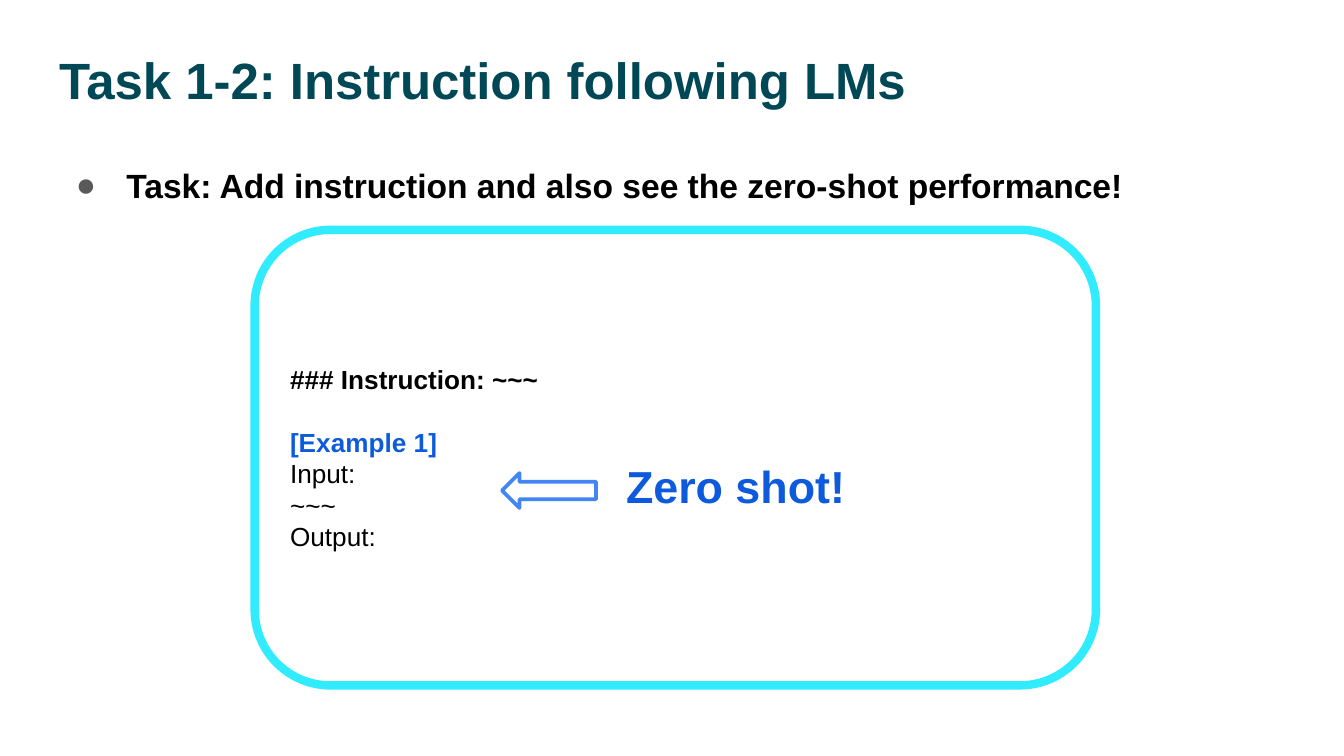
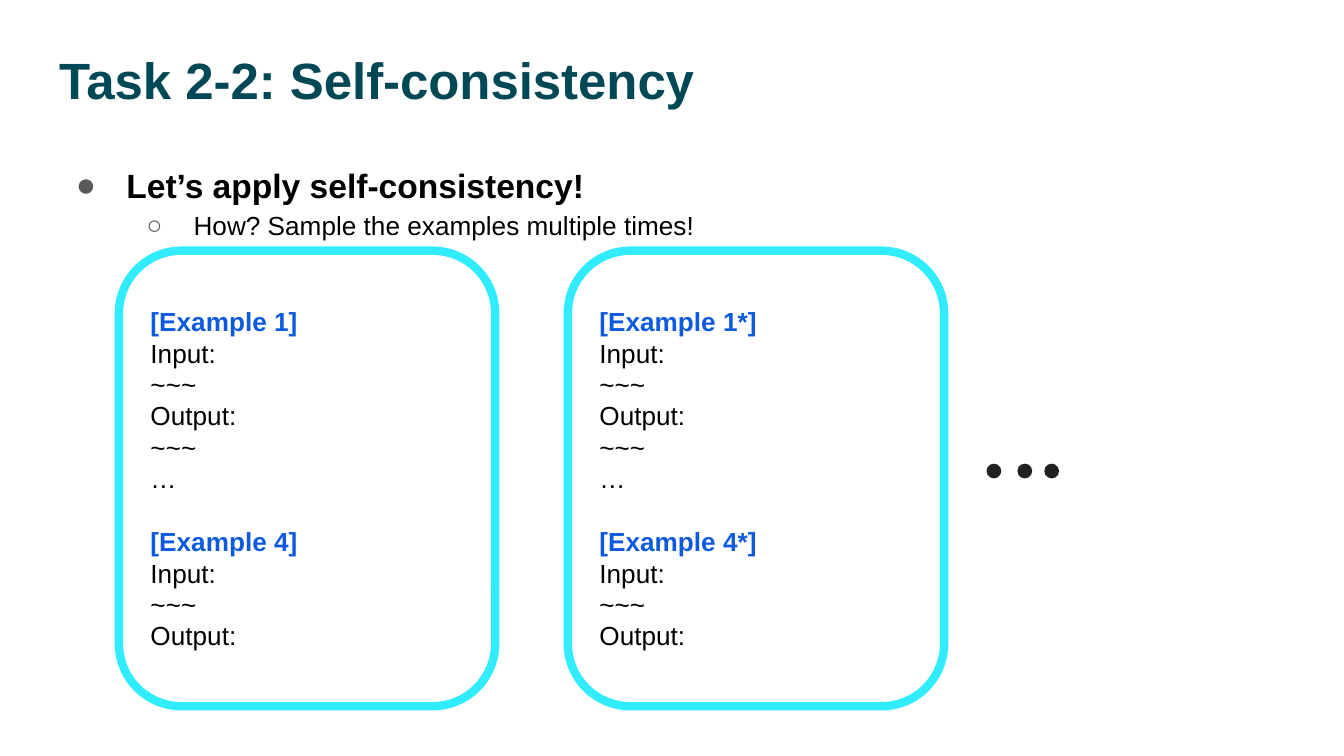
"""Build two slides on instruction following and self-consistency prompts."""
from lxml import etree
from pptx import Presentation
from pptx import util as u
from pptx.dml.color import RGBColor
from pptx.enum import shapes, text
from pptx.oxml.ns import qn

PX = 4572
FONT = "Arial"
TEAL = RGBColor(0x00, 0x48, 0x56)
CYAN = RGBColor(0x31, 0xEB, 0xFF)
BLUE = RGBColor(0x0D, 0x5B, 0xDC)
ARROW_BLUE = RGBColor(0x42, 0x85, 0xF4)
BLACK = RGBColor(0, 0, 0)
DARK = RGBColor(0x21, 0x21, 0x21)
GREY = RGBColor(0x59, 0x59, 0x59)
WHITE = RGBColor(0xFF, 0xFF, 0xFF)

SLIDE_SIZE = (2000, 1125)
TITLE_BOX = (68, 63, 1864, 126)
BODY_BOX = (68, 216, 1864, 748)
INSET = 20
LEVELS = [("●", 100, -75, 18, True), ("○", 200, -70, 14, False)]
BLOCK_GAP = 17

INSTRUCTION = {
    "title": "Task 1-2: Instruction following LMs",
    "bullets": ["Task: Add instruction and also see the zero-shot performance!"],
    "prompts": [[["### Instruction: ~~~"], ["[Example 1]", "Input:", "~~~", "Output:"]]],
    "boxes": [(379, 342, 1252, 678)],
}
CONSISTENCY = {
    "title": "Task 2-2: Self-consistency",
    "bullets": ["Let’s apply self-consistency!", "How? Sample the examples multiple times!"],
    "prompts": [
        [[f"[Example 1{mark}]", "Input:", "~~~", "Output:", "~~~", "…"],
         [f"[Example 4{mark}]", "Input:", "~~~", "Output:"]]
        for mark in ("", "*")
    ],
    "boxes": [(177 + 668 * i, 373, 560, 678) for i in range(2)],
}
ARROW_BOX = (747, 704, 140, 52)
LABEL_BOX = (912, 673, 400, 100)
DOT_LEFTS = (1468, 1514, 1554)
DOT_TOP, DOT_SIZE = 690, 22


def px(*values):
    return [u.Emu(v * PX) for v in values]


def style(p, size, color, bold):
    for r in p.runs:
        f = r.font
        f.name, f.size, f.bold = FONT, u.Pt(size), bold
        f.color.rgb = color


def place(sp, box):
    sp.left, sp.top, sp.width, sp.height = px(*box)
    tf = sp.text_frame
    tf.margin_left = tf.margin_top = tf.margin_right = tf.margin_bottom = px(INSET)[0]
    tf.vertical_anchor = text.MSO_ANCHOR.TOP
    tf.auto_size = text.MSO_AUTO_SIZE.NONE
    tf.word_wrap = True
    return tf


def add_bullet(p, level):
    char, left, indent, size, bold = LEVELS[level]
    p.level = level
    p.line_spacing = 1.15
    p.space_before = u.Pt(0)
    pPr = p._p.get_or_add_pPr()
    pPr.set("marL", str(left * PX))
    pPr.set("indent", str(indent * PX))
    clr = etree.SubElement(pPr, qn("a:buClr"))
    etree.SubElement(clr, qn("a:srgbClr"), val=str(GREY))
    etree.SubElement(pPr, qn("a:buFont"), typeface=FONT)
    etree.SubElement(pPr, qn("a:buChar"), char=char)
    style(p, size, BLACK, bold)


def add_shape(s, kind, box, fill=None, line=None, width=0):
    sp = s.shapes.add_shape(kind, *px(*box))
    sp.shadow.inherit = False
    if fill is None:
        sp.fill.background()
    else:
        sp.fill.solid()
        sp.fill.fore_color.rgb = fill
    if line is None:
        sp.line.fill.background()
    else:
        sp.line.color.rgb = line
        sp.line.width = u.Pt(width)
    return sp


def add_prompt(s, box, blocks):
    sp = add_shape(s, shapes.MSO_SHAPE.ROUNDED_RECTANGLE, box, line=CYAN, width=4.5)
    tf = sp.text_frame
    tf.word_wrap = True
    tf.vertical_anchor = text.MSO_ANCHOR.MIDDLE
    tf.text = "\n".join(line for block in blocks for line in block)
    starts = {sum(map(len, blocks[:i])) for i in range(len(blocks))}
    for i, p in enumerate(tf.paragraphs):
        p.alignment = text.PP_ALIGN.LEFT
        if i in starts and i:
            p.space_before = u.Pt(BLOCK_GAP)
        color = BLUE if p.text.startswith("[") else BLACK
        style(p, 14, color, i in starts)


def add_slide(prs, content):
    s = prs.slides.add_slide(prs.slide_layouts[1])
    tf = place(s.shapes.title, TITLE_BOX)
    tf.text = content["title"]
    p = tf.paragraphs[0]
    p.alignment = text.PP_ALIGN.LEFT
    p.line_spacing = 0.9
    style(p, 27.3, TEAL, True)
    tf = place(s.placeholders[1], BODY_BOX)
    tf.text = "\n".join(content["bullets"])
    for level, p in enumerate(tf.paragraphs):
        add_bullet(p, level)
    for box, blocks in zip(content["boxes"], content["prompts"]):
        add_prompt(s, box, blocks)
    return s


def main():
    prs = Presentation()
    prs.slide_width, prs.slide_height = px(*SLIDE_SIZE)

    s = add_slide(prs, INSTRUCTION)
    arrow = add_shape(s, shapes.MSO_SHAPE.RIGHT_ARROW, ARROW_BOX, WHITE, ARROW_BLUE, 2)
    arrow.rotation = 180
    tf = s.shapes.add_textbox(*px(*LABEL_BOX)).text_frame
    tf.word_wrap = True
    tf.auto_size = text.MSO_AUTO_SIZE.SHAPE_TO_FIT_TEXT
    tf.text = "Zero shot!"
    style(tf.paragraphs[0], 24, BLUE, True)

    s = add_slide(prs, CONSISTENCY)
    for left in DOT_LEFTS:
        add_shape(s, shapes.MSO_SHAPE.OVAL, (left, DOT_TOP, DOT_SIZE, DOT_SIZE), DARK)

    prs.save("out.pptx")


if __name__ == "__main__":
    main()
